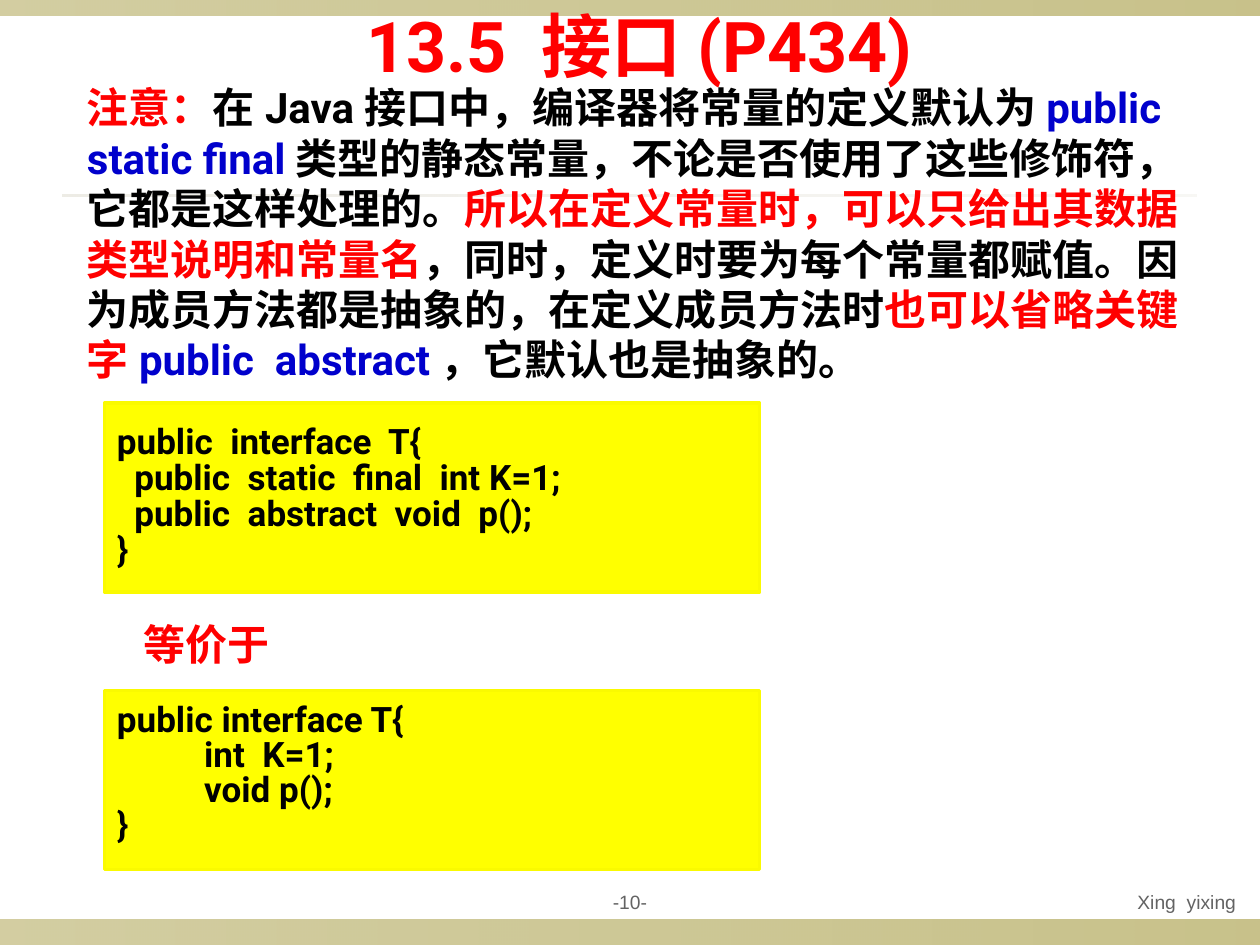
from lxml.etree import SubElement
from pptx import Presentation
from pptx.dml.color import RGBColor
from pptx.enum.shapes import MSO_SHAPE
from pptx.enum.text import MSO_ANCHOR, MSO_AUTO_SIZE, PP_ALIGN
from pptx.oxml.ns import qn
from pptx.util import Inches, Pt

COLORS = {
    "black": "000000", "red": "FF0000", "blue": "0000CC", "gray": "636363",
    "yellow": "FFFF00", "edge": "FAFA00", "olive": "918415", "sand": "DCD9CC",
}


def color(name):
    return RGBColor.from_string(COLORS[name])


def add_text(para, text, size=24, tint="black", bold=True, font="Roboto"):
    """Append one formatted span to a paragraph."""
    span = para.add_run()
    span.text = text
    span.font.size = Pt(size)
    span.font.bold = bold
    span.font.name = font
    span.font.color.rgb = color(tint)
    # Chinese characters take the same font, which sets the line height
    SubElement(span.font._element, qn("a:ea"), typeface=font)


class SlideBuilder:
    def __init__(self, page):
        self.page = page

    def place(self, box, left, top, width, height):
        box.left, box.top = Inches(left), Inches(top)
        box.width, box.height = Inches(width), Inches(height)

    def frame(self, box, anchor, side=0.1, bottom=0.05):
        frame = box.text_frame
        frame.word_wrap = True
        frame.auto_size = MSO_AUTO_SIZE.NONE
        frame.vertical_anchor = anchor
        frame.margin_left = frame.margin_right = Inches(side)
        frame.margin_top, frame.margin_bottom = Inches(0.05), Inches(bottom)
        return frame

    def rectangle(self, *bounds):
        box = self.page.shapes.add_shape(MSO_SHAPE.RECTANGLE, *map(Inches, bounds))
        box.shadow.inherit = False
        return box

    def band(self, bounds, tint, opacities):
        """Add a see-through gradient bar behind the text."""
        bar = self.rectangle(*bounds)
        bar.line.fill.background()
        bar.fill.gradient()
        bar.fill.gradient_angle = 0
        for stop in bar.fill.gradient_stops:
            stop.color.rgb = color(tint)
        stops = bar._element.spPr.iter(qn("a:srgbClr"))
        for node, opacity in zip(stops, opacities):
            SubElement(node, qn("a:alpha"), val=str(opacity * 1000))
        self.page.shapes._spTree.insert(2, bar._element)

    def title(self, text, *bounds):
        box = self.page.shapes.title
        self.place(box, *bounds)
        para = self.frame(box, MSO_ANCHOR.MIDDLE).paragraphs[0]
        para.alignment = PP_ALIGN.CENTER
        add_text(para, text, size=40, tint="red")

    def body(self, paragraphs, *bounds):
        """Each paragraph is (indent in inches, space before, spans)."""
        box = self.page.placeholders[1]
        self.place(box, *bounds)
        frame = self.frame(box, MSO_ANCHOR.TOP)
        for index, (indent, before, spans) in enumerate(paragraphs):
            para = frame.add_paragraph() if index else frame.paragraphs[0]
            para.space_before = Pt(before)
            properties = para._p.get_or_add_pPr()
            properties.set("marL", str(Inches(indent)))
            properties.set("indent", "0")
            SubElement(properties, qn("a:buNone"))
            for text, tint in spans:
                add_text(para, text, tint=tint)

    def code(self, lines, top, height, spacing, bottom=0.05):
        box = self.rectangle(0.83, top, 5.2, height)
        box.fill.solid()
        box.fill.fore_color.rgb = color("yellow")
        box.line.color.rgb = color("edge")
        box.line.width = Pt(2)
        frame = self.frame(box, MSO_ANCHOR.MIDDLE, bottom=bottom)
        for index, line in enumerate(lines):
            para = frame.add_paragraph() if index else frame.paragraphs[0]
            para.alignment = PP_ALIGN.LEFT
            para.line_spacing = Pt(spacing)
            add_text(para, line, size=20)

    def footer(self, text, left, width, align, side):
        box = self.page.shapes.add_textbox(*map(Inches, (left, 7, width, 0.31)))
        para = self.frame(box, MSO_ANCHOR.MIDDLE, side=side).paragraphs[0]
        para.alignment = align
        add_text(para, text, size=11, tint="gray", bold=False, font="Arial")


def main():
    deck = Presentation()
    deck.slide_width, deck.slide_height = Inches(10), Inches(7.5)
    slide = SlideBuilder(deck.slides.add_slide(deck.slide_layouts[1]))

    # Background bars and rule
    slide.band((0, 7.3, 10, 0.2), "olive", (40, 50))
    slide.band((0, 0, 10, 0.12), "olive", (40, 50))
    slide.band((0.5, 1.54, 9, 0.02), "sand", (50, 20))

    # Title and explanation
    slide.title("13.5 接口(P434)", 1.06, -0.03, 8.03, 0.76)
    note = [
        ("注意：", "red"),
        ("在Java接口中，编译器将常量的定义默认为", "black"),
        ("public static final", "blue"),
        ("类型的静态常量，不论是否使用了这些修饰符，它都是这样处理的。", "black"),
        ("所以在定义常量时，可以只给出其数据类型说明和常量名", "red"),
        ("，同时，定义时要为每个常量都赋值。因为成员方法都是抽象的，"
         "在定义成员方法时", "black"),
        ("也可以省略关键字", "red"),
        ("public  abstract", "blue"),
        ("，它默认也是抽象的。", "black"),
    ]
    equivalent = [("等价于", "red")]
    slide.body([(0, 0, note), (0.45, 134, equivalent)], 0.59, 0.6, 8.98, 6.14)

    # Footer
    slide.footer("Xing  yixing", 5.83, 4.08, PP_ALIGN.RIGHT, side=0.1)
    slide.footer("-10-", 4.5, 1, PP_ALIGN.CENTER, side=0.05)

    # Code: full form and short form
    slide.code([
        "public  interface  T{",
        "  public  static  final  int K=1;",
        "  public  abstract  void  p();",
        "}",
    ], top=3.2, height=1.5, spacing=20.6)
    slide.code([
        "public interface T{",
        "          int  K=1;",
        "          void p();",
        "}",
    ], top=5.48, height=1.42, spacing=20, bottom=0.13)

    deck.save("out.pptx")


if __name__ == "__main__":
    main()
